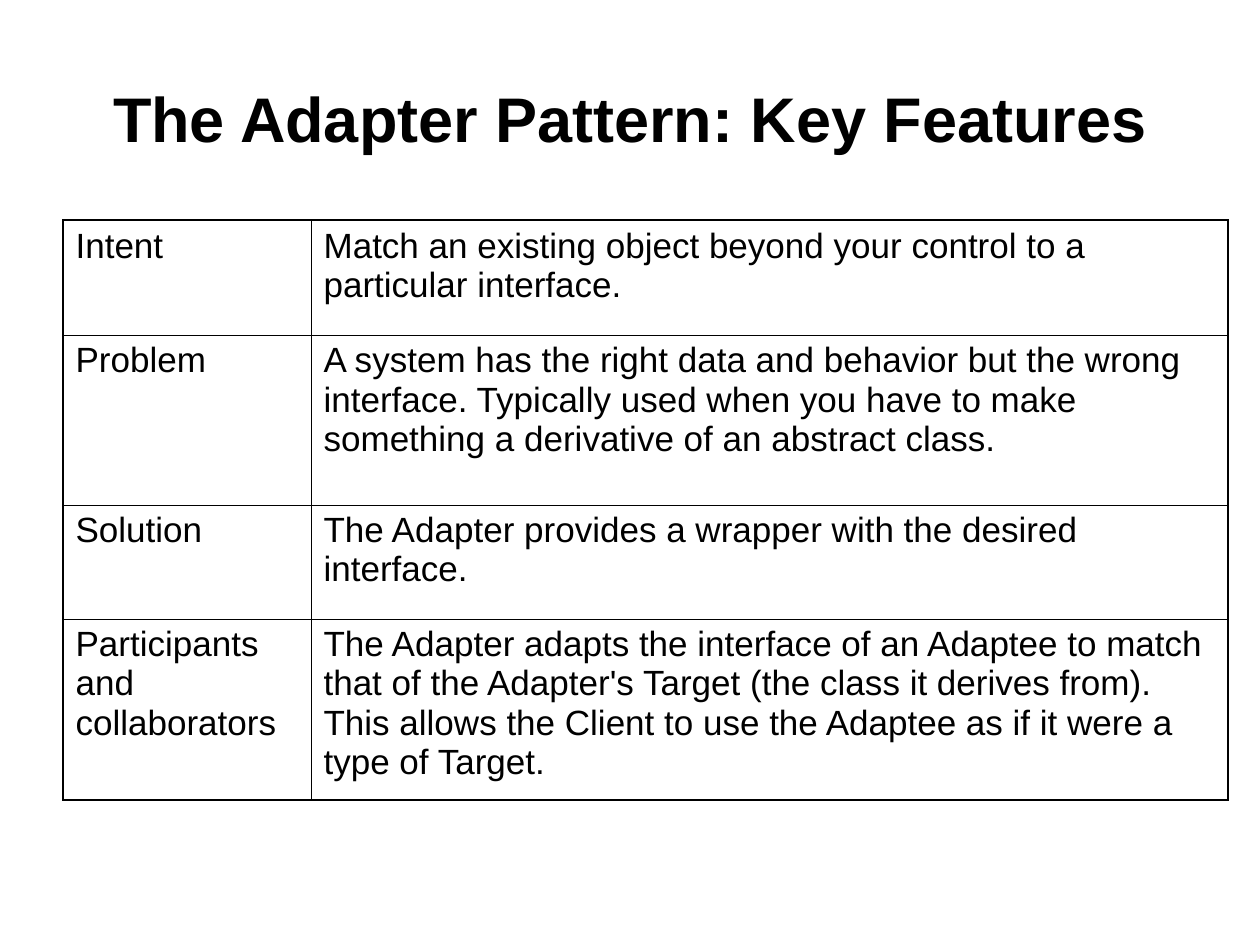
from lxml.etree import SubElement as Sub
from pptx import Presentation
from pptx.dml.color import RGBColor
from pptx.enum.text import MSO_ANCHOR as Anchor, PP_ALIGN as Align
from pptx.oxml.ns import qn
from pptx.util import Emu, Pt

SCALE = 914400 / 126
BLACK = RGBColor(0, 0, 0)
WHITE = RGBColor(255, 255, 255)
THIN, THICK = 0.45, 1.08
TITLE = {"name": "Arial", "size": Pt(36), "bold": True}
BODY = {"name": "Arial", "size": Pt(20), "bold": False}
COLS = [248, 917]
ROWS = [
    (115, "Intent",
     "Match an existing object beyond your control to a particular interface."),
    (170, "Problem",
     "A system has the right data and behavior but the wrong interface. "
     "Typically used when you have to make something a derivative of an "
     "abstract class."),
    (114, "Solution",
     "The Adapter provides a wrapper with the desired interface."),
    (181, "Participants and collaborators",
     "The Adapter adapts the interface of an Adaptee to match that of the "
     "Adapter's Target (the class it derives from). This allows the Client "
     "to use the Adaptee as if it were a type of Target."),
]


def px(num):
    return Emu(round(num * SCALE))


def write(frame, text, style, align):
    frame.word_wrap = True
    para = frame.paragraphs[0]
    para.alignment = align
    run = para.add_run()
    run.text = text
    for key, value in style.items():
        setattr(run.font, key, value)
    run.font.color.rgb = BLACK


def edge(cell, widths):
    """Draw the cell borders; widths maps a border tag to points."""
    props = cell._tc.get_or_add_tcPr()
    for tag, width in widths.items():
        line = Sub(props, qn(f"a:{tag}"), w=str(int(Pt(width))))
        fill = Sub(line, qn("a:solidFill"))
        Sub(fill, qn("a:srgbClr"), val=str(BLACK))


def add_title(slide, left, top, width, height):
    box = slide.shapes.add_textbox(px(left), px(top), px(width), px(height))
    box.text_frame.vertical_anchor = Anchor.MIDDLE
    write(box.text_frame, "The Adapter Pattern: Key Features", TITLE, Align.CENTER)


def add_grid(slide, left, top):
    high = sum(row[0] for row in ROWS)
    table = slide.shapes.add_table(
        len(ROWS), len(COLS), px(left), px(top), px(sum(COLS)), px(high)).table
    table.first_row = table.horz_banding = False
    for col, width in zip(table.columns, COLS):
        col.width = px(width)
    for r, (height, *texts) in enumerate(ROWS):
        table.rows[r].height = px(height)
        for c, text in enumerate(texts):
            cell = table.cell(r, c)
            outer = {"lnL": c == 0, "lnR": c == len(COLS) - 1,
                     "lnT": r == 0, "lnB": r == len(ROWS) - 1}
            edge(cell, {tag: THICK if out else THIN for tag, out in outer.items()})
            cell.fill.background()
            write(cell.text_frame, text, BODY, Align.LEFT)


def main():
    deck = Presentation()
    deck.slide_width, deck.slide_height = px(1260), px(945)
    slide = deck.slides.add_slide(deck.slide_layouts[6])
    slide.background.fill.solid()
    slide.background.fill.fore_color.rgb = WHITE
    add_title(slide, 63, 38, 1134, 158)
    add_grid(slide, 63, 220)
    deck.save("out.pptx")


if __name__ == "__main__":
    main()
